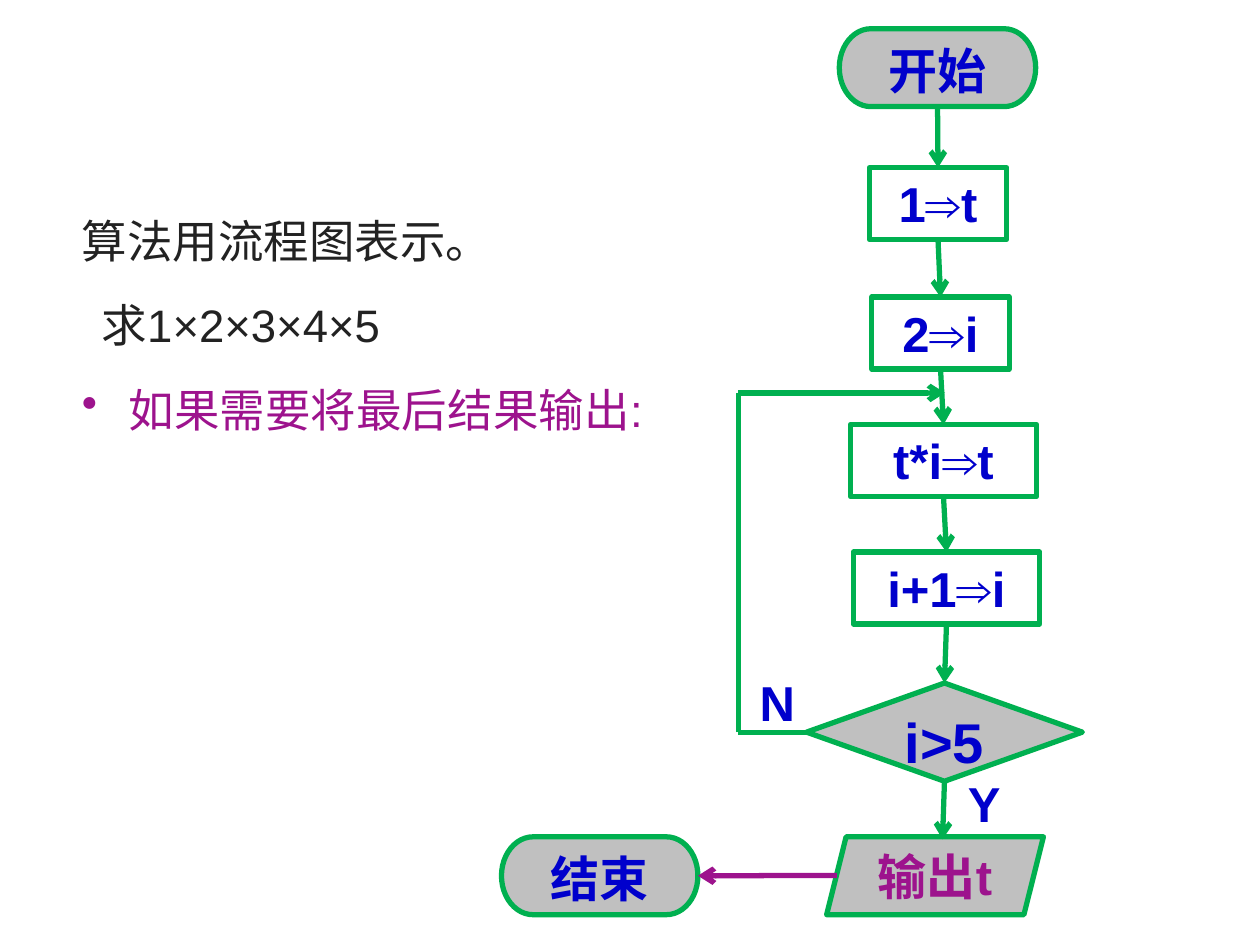
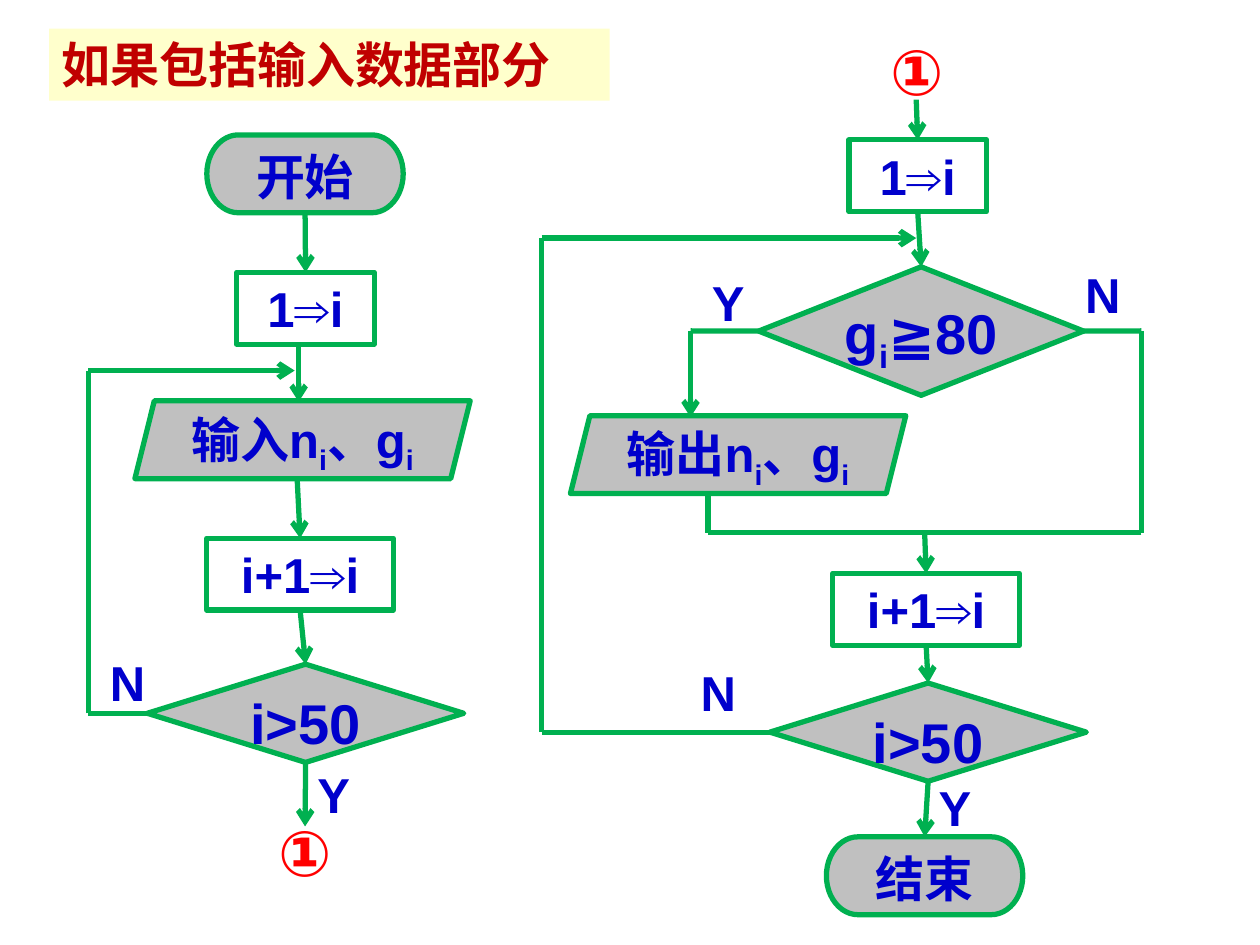
from lxml import etree
from pptx import Presentation
from pptx.dml.color import RGBColor
from pptx.enum.shapes import MSO_CONNECTOR, MSO_SHAPE
from pptx.enum.text import MSO_ANCHOR, MSO_AUTO_SIZE, PP_ALIGN
from pptx.oxml.ns import qn
from pptx.util import Cm, Pt

STRAIGHT = MSO_CONNECTOR.STRAIGHT
STEP = MSO_SHAPE.RECTANGLE
TERMINATOR = MSO_SHAPE.FLOWCHART_TERMINATOR
DECISION = MSO_SHAPE.FLOWCHART_DECISION
DATA = MSO_SHAPE.PARALLELOGRAM
TOP_ANCHOR = MSO_ANCHOR.TOP
GROW = MSO_AUTO_SIZE.SHAPE_TO_FIT_TEXT
CENTER, LEFT_ALIGN = PP_ALIGN.CENTER, PP_ALIGN.LEFT
TOP, LEFT, BOTTOM, RIGHT = range(4)

FONT = "Arial"
GREEN, GREY, BLUE, PURPLE = "00B050", "C0C0C0", "0000CC", "9D138D"
INK, RED, DARK_RED, CREAM = "222222", "FF0000", "C00000", "FFFFCC"

# width and height in cm
SHORT_STEP, WIDE_STEP = (2.77, 1.45), (3.76, 1.45)
TERMINATOR_SIZE = (3.96, 1.57)
SHORT_DATA, WIDE_DATA = (4.37, 1.57), (6.76, 1.57)
SHORT_TEST, WIDE_TEST, TALL_TEST = (5.56, 1.98), (6.38, 1.98), (6.55, 2.59)
ANSWER_SIZE, JOINT_SIZE = (1.57, 1.45), (1.98, 1.8)


def rgb(hex_colour):
    return RGBColor.from_string(hex_colour)


def style_font(paragraph, size, colour, bold=True):
    font = paragraph.font
    font.name, font.size, font.bold = FONT, Pt(size), bold
    font.color.rgb = rgb(colour)


def write(shape, parts, size, colour, align=CENTER):
    """Write parts in one line; every second part is a subscript."""
    frame = shape.text_frame
    frame.vertical_anchor = TOP_ANCHOR
    paragraph = frame.paragraphs[0]
    paragraph.alignment = align
    style_font(paragraph, size, colour)
    for index, part in enumerate(parts):
        run = paragraph.add_run()
        run.text = part
        if index % 2:
            run._r.get_or_add_rPr().set("baseline", "-25000")


class Flow:
    """A flowchart whose parts are placed in cm from its top left corner."""

    def __init__(self, slide, left, top):
        self.shapes = slide.shapes
        self.left, self.top = left, top

    def point(self, x, y):
        return Cm(self.left + x), Cm(self.top + y)

    def box(self, center, top, size):
        width, height = size
        return *self.point(center - width / 2, top), Cm(width), Cm(height)

    def node(self, kind, size, center, top, *parts, colour=BLUE):
        shape = self.shapes.add_shape(kind, *self.box(center, top, size))
        shape.shadow.inherit = False
        shape.line.color.rgb = rgb(GREEN)
        shape.line.width = Pt(3)
        frame = shape.text_frame
        if kind == STEP:
            shape.fill.background()
            frame.word_wrap = True
            frame.auto_size = GROW
        else:
            shape.fill.solid()
            shape.fill.fore_color.rgb = rgb(GREY)
            frame.word_wrap = False
            frame.margin_left = frame.margin_right = 0
            frame.margin_top = frame.margin_bottom = 0
        write(shape, parts, 32 if kind == DECISION else 28, colour)
        return shape

    def label(self, text, center, top, size=ANSWER_SIZE, points=28, colour=BLUE):
        label = self.shapes.add_textbox(*self.box(center, top, size))
        label.text_frame.word_wrap = True
        label.text_frame.auto_size = GROW
        write(label, [text], points, colour)

    def joint(self, center, top):
        self.label("①", center, top, JOINT_SIZE, 36, RED)

    def route(self, *stops, colour=GREEN, arrow=True):
        """Link stops, each an (x, y) point or a (node, side) pair."""
        for start, end in zip(stops, stops[1:]):
            line = self.shapes.add_connector(STRAIGHT, 0, 0, 0, 0)
            if isinstance(start[0], (int, float)):
                line.begin_x, line.begin_y = self.point(*start)
            else:
                line.begin_connect(*start)
            if isinstance(end[0], (int, float)):
                line.end_x, line.end_y = self.point(*end)
            else:
                line.end_connect(*end)
            line.line.color.rgb = rgb(colour)
            line.line.width = Pt(3)
            if arrow and end is stops[-1]:
                etree.SubElement(line.line._get_or_add_ln(), qn("a:tailEnd"), type="arrow")
            etree.SubElement(line._element.spPr, qn("a:effectLst"))

    def descend(self, *nodes):
        for upper, lower in zip(nodes, nodes[1:]):
            self.route((upper, BOTTOM), (lower, TOP))


def add_task(slide, left, top, width, height):
    frame = slide.shapes.add_textbox(Cm(left), Cm(top), Cm(width), Cm(height)).text_frame
    frame.word_wrap = True
    lines = [
        ("算法用流程图表示。", INK, 0, 0, None),
        ("求1×2×3×4×5", INK, 0.4, 0, None),
        ("如果需要将最后结果输出:", PURPLE, 0.95, -0.95, "•"),
    ]
    for index, (text, colour, margin, indent, bullet) in enumerate(lines):
        paragraph = frame.add_paragraph() if index else frame.paragraphs[0]
        paragraph.text = text
        paragraph.space_after = Pt(12)
        if index:
            paragraph.space_before = Pt(5)
        properties = paragraph._p.get_or_add_pPr()
        properties.set("marL", str(Cm(margin)))
        properties.set("indent", str(Cm(indent)))
        if bullet:
            etree.SubElement(properties, qn("a:buChar"), char=bullet)
        style_font(paragraph, 26, colour, bold=False)


def add_heading(slide, left, top, width, height):
    band = slide.shapes.add_shape(STEP, Cm(left), Cm(top), Cm(width), Cm(height))
    band.shadow.inherit = False
    band.fill.solid()
    band.fill.fore_color.rgb = rgb(CREAM)
    band.line.fill.background()
    band.text_frame.word_wrap = True
    band.text_frame.auto_size = GROW
    write(band, ["如果包括输入数据部分"], 28, DARK_RED, LEFT_ALIGN)


def add_factorial_flow(slide, left, top):
    flow = Flow(slide, left, top)
    start = flow.node(TERMINATOR, TERMINATOR_SIZE, 8.9, 0, "开始")
    set_product = flow.node(STEP, SHORT_STEP, 8.91, 2.8, "1⇒t")
    set_counter = flow.node(STEP, SHORT_STEP, 8.96, 5.41, "2⇒i")
    multiply = flow.node(STEP, WIDE_STEP, 9.02, 7.98, "t*i⇒t")
    count = flow.node(STEP, WIDE_STEP, 9.08, 10.55, "i+1⇒i")
    test = flow.node(DECISION, SHORT_TEST, 9.04, 13.19, "i>5")
    flow.node(DATA, SHORT_DATA, 8.85, 16.29, "输出t", colour=PURPLE)
    end = flow.node(TERMINATOR, TERMINATOR_SIZE, 2.09, 16.29, "结束")

    flow.descend(start, set_product, set_counter, multiply, count, test)
    flow.route((test, BOTTOM), (9, 16.34))
    flow.route((test, LEFT), (4.88, 14.18), (4.88, 7.34), (9.05, 7.34))
    flow.route((6.87, 17.07), (end, RIGHT), colour=PURPLE)
    flow.label("N", 5.67, 12.86)
    flow.label("Y", 9.84, 14.89)


def add_input_flow(slide, left, top):
    flow = Flow(slide, left, top)
    start = flow.node(TERMINATOR, TERMINATOR_SIZE, 4.37, 0, "开始")
    set_counter = flow.node(STEP, SHORT_STEP, 4.38, 2.77, "1⇒i")
    flow.node(DATA, WIDE_DATA, 4.32, 5.36, "输入n", "i", "、g", "i")
    count = flow.node(STEP, WIDE_STEP, 4.27, 8.13, "i+1⇒i")
    test = flow.node(DECISION, WIDE_TEST, 4.38, 10.67, "i>50")

    flow.descend(start, set_counter)
    flow.route((4.24, 4.19), (4.24, 5.38))
    flow.route((4.21, 6.93), (count, TOP))
    flow.descend(count, test)
    flow.route((test, BOTTOM), (4.37, 13.94))
    flow.route((test, LEFT), (0, 11.66), (0, 4.75), (4.16, 4.75))
    flow.label("N", 0.79, 10.31)
    flow.label("Y", 4.95, 12.57)
    flow.joint(4.37, 13.56)


def add_output_flow(slide, left, top):
    flow = Flow(slide, left, top)
    flow.joint(7.57, 0)
    set_counter = flow.node(STEP, SHORT_STEP, 7.58, 2.29, "1⇒i")
    grade_test = flow.node(DECISION, TALL_TEST, 7.65, 4.85, "g", "i", "≧80")
    flow.node(DATA, WIDE_DATA, 3.96, 7.85, "输出n", "i", "、g", "i")
    count = flow.node(STEP, WIDE_STEP, 7.75, 11.03, "i+1⇒i")
    end_test = flow.node(DECISION, WIDE_TEST, 7.79, 13.24, "i>50")
    end = flow.node(TERMINATOR, TERMINATOR_SIZE, 7.72, 16.34, "结束")

    flow.route((7.55, 1.48), (set_counter, TOP))
    flow.descend(set_counter, grade_test)
    flow.route((grade_test, LEFT), (3, 6.14), (3, 7.88))
    flow.route((grade_test, RIGHT), (12.09, 6.14), (12.09, 10.21),
               (3.35, 10.21), (3.35, 9.43), arrow=False)
    flow.route((7.72, 10.21), (count, TOP))
    flow.descend(count, end_test, end)
    flow.route((end_test, LEFT), (0, 14.23), (0, 4.27), (7.55, 4.27))
    flow.label("Y", 3.76, 4.83)
    flow.label("N", 11.31, 4.68)
    flow.label("N", 3.56, 12.7)
    flow.label("Y", 8.33, 15.01)


def main():
    deck = Presentation()
    deck.slide_width, deck.slide_height = Cm(25.4), Cm(19.05)
    blank = deck.slide_layouts[6]

    factorial = deck.slides.add_slide(blank)
    add_task(factorial, 1.4, 4.17, 12.19, 9.93)
    add_factorial_flow(factorial, 10, 0.58)

    grades = deck.slides.add_slide(blank)
    add_heading(grades, 0.99, 0.58, 11.3, 1.45)
    add_input_flow(grades, 1.78, 2.72)
    add_output_flow(grades, 10.92, 0.53)

    deck.save("out.pptx")


if __name__ == "__main__":
    main()
